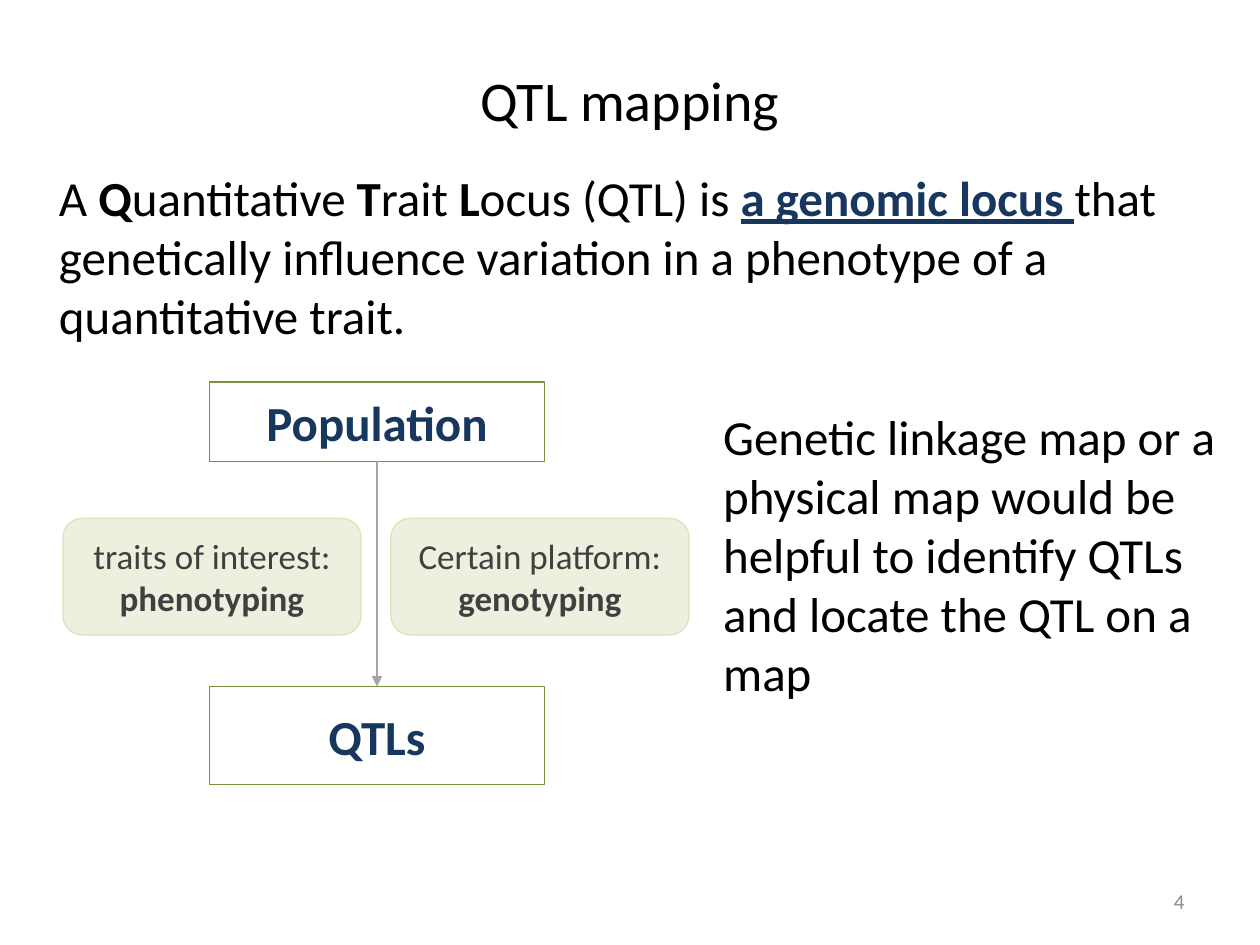
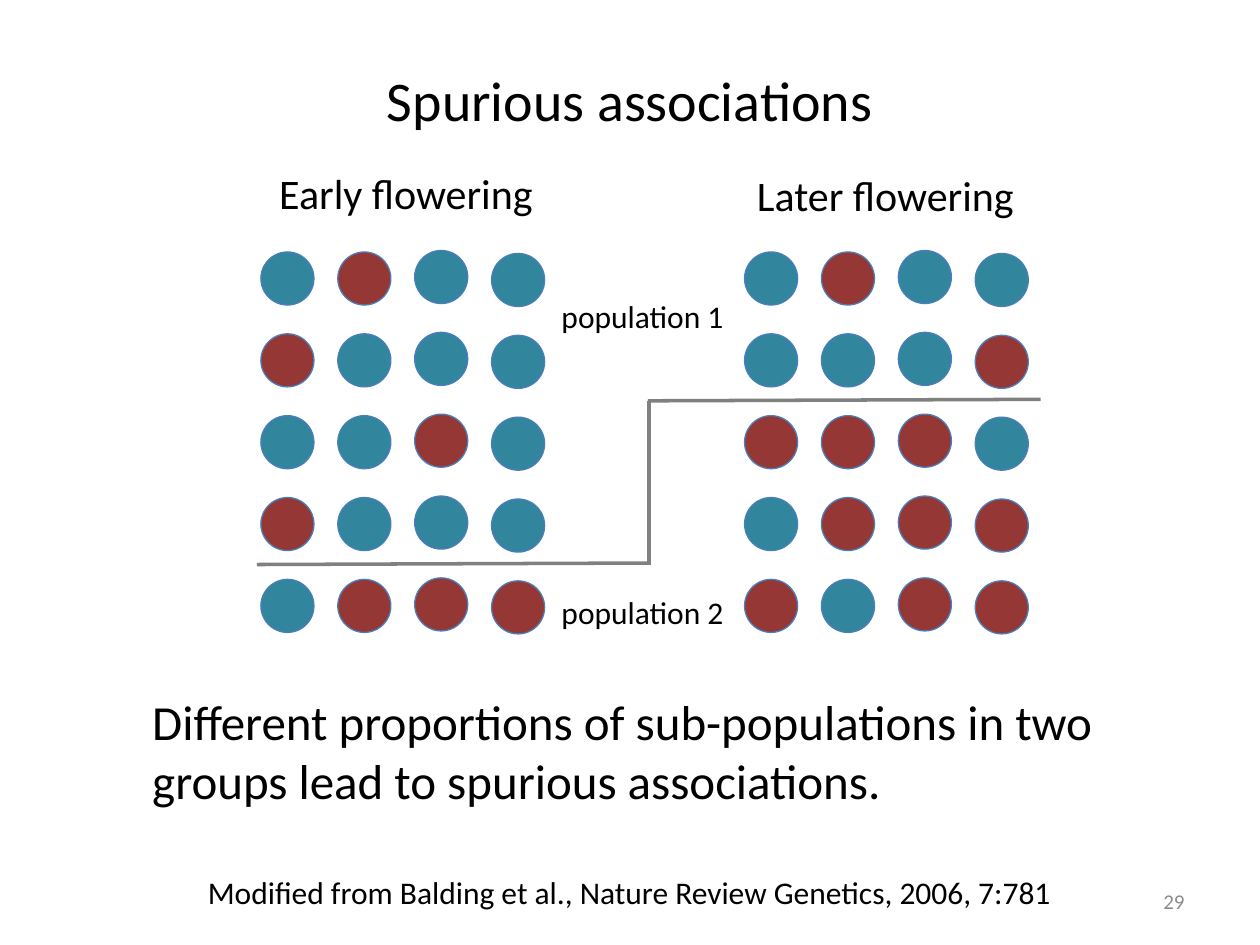
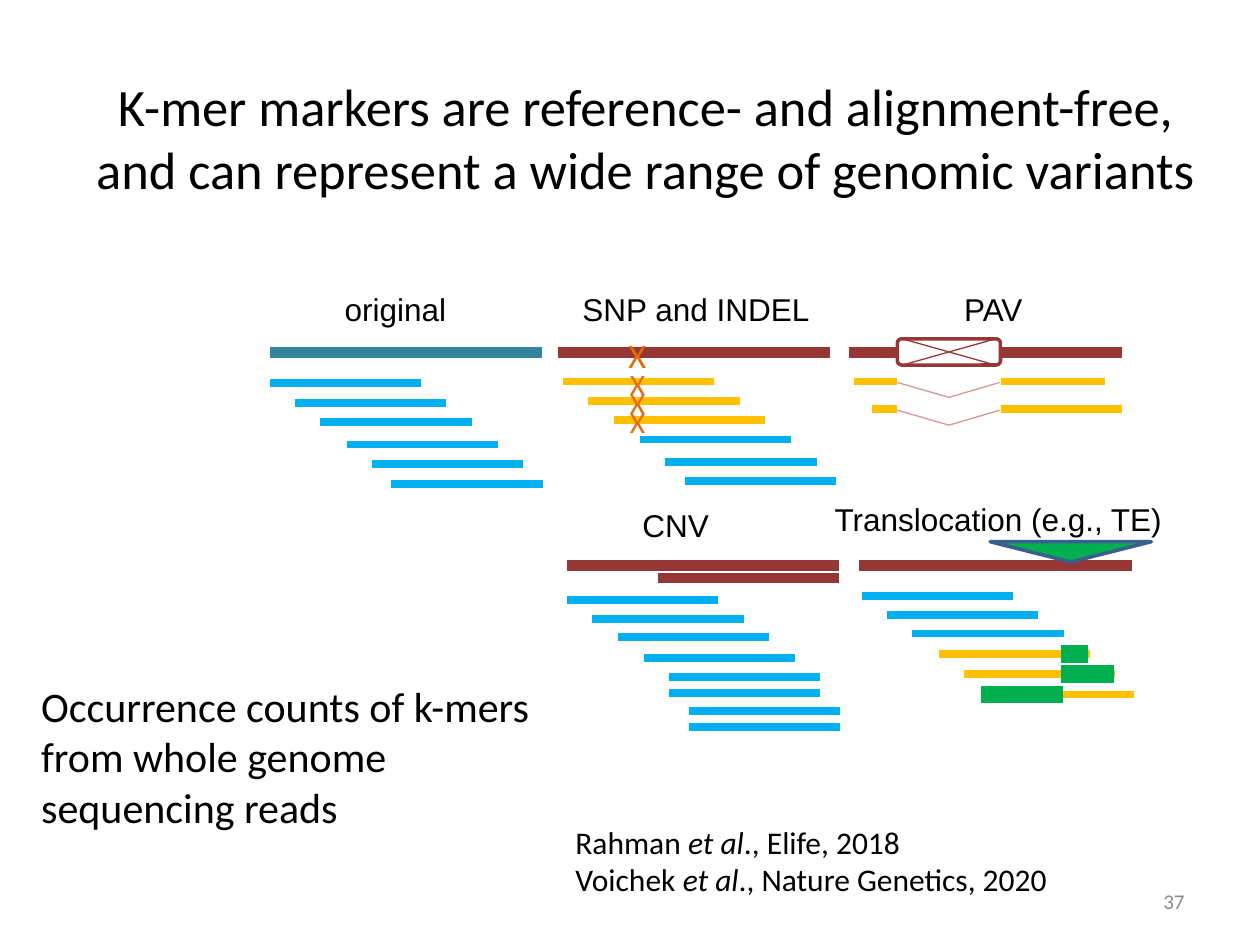
from pptx import Presentation
from pptx.dml.color import RGBColor
from pptx.enum.shapes import MSO_CONNECTOR, MSO_SHAPE
from pptx.enum.text import MSO_ANCHOR, PP_ALIGN
from pptx.oxml.ns import qn
from pptx.util import Cm, Pt
from lxml.etree import SubElement

BLACK, WHITE, NAVY, GREY = "000000", "FFFFFF", "17375E", "8C8C8C"
TEAL, RED, ORANGE, PINK = "31859C", "953735", "E46C0A", "D99694"
BLUE, YELLOW, GREEN = "00B0F0", "FFC000", "00B050"
BOX_LINE, CARD_FILL, CARD_LINE, CARD_TEXT = "77933C", "EBF1DE", "D7E4BD", "404040"
ARROW, DOT_LINE, STEP_LINE, INSERT_LINE = "A6A6A6", "4B7EBC", "808080", "3A5F8C"
BODY_FONT, LABEL_FONT = "Calibri", "Arial"
GENOME_LENGTH, READ_LENGTH = 5.49, 3.05
READ_STARTS = (0, 0.51, 1.02, 1.55, 2.06, 2.45)


def colour(value):
    """Turn a hex string into a colour."""
    return RGBColor.from_string(value)


def format_runs(paragraph, size, font_name, font_colour):
    """Give every run of a paragraph the same basic look."""
    for run in paragraph.runs:
        run.font.size = Pt(size)
        run.font.name = font_name
        run.font.color.rgb = colour(font_colour)


def write(shape, lines, size, font_colour=BLACK, font_name=BODY_FONT, align=PP_ALIGN.LEFT):
    """Fill a shape with lines made of (text, emphasis letters) pieces."""
    frame = shape.text_frame
    for index, pieces in enumerate(lines):
        paragraph = frame.paragraphs[0] if index == 0 else frame.add_paragraph()
        paragraph.alignment = align
        for text, emphasis in pieces:
            run = paragraph.add_run()
            run.text = text
            run.font.bold = "b" in emphasis
            run.font.italic = "i" in emphasis
            run.font.underline = "u" in emphasis
        format_runs(paragraph, size, font_name, font_colour)


def add_text(slide, box, lines, size, wrap=True, **style):
    """Add a text box; a plain string stands for a single line."""
    shape = slide.shapes.add_textbox(*map(Cm, box))
    shape.text_frame.word_wrap = wrap
    write(shape, [[(lines, "")]] if isinstance(lines, str) else lines, size, **style)
    return shape


def add_block(slide, kind, box, fill, line, width=0.75):
    """Add a preset shape with an optional fill."""
    shape = slide.shapes.add_shape(kind, *map(Cm, box))
    shape.shadow.inherit = False
    if fill:
        shape.fill.solid()
        shape.fill.fore_color.rgb = colour(fill)
    else:
        shape.fill.background()
    shape.line.color.rgb = colour(line)
    shape.line.width = Pt(width)
    shape.text_frame.word_wrap = True
    shape.text_frame.vertical_anchor = MSO_ANCHOR.MIDDLE
    return shape


def add_line(slide, start, end, line, width):
    """Add a straight line without shadow."""
    connector = slide.shapes.add_connector(MSO_CONNECTOR.STRAIGHT, *map(Cm, (*start, *end)))
    connector.line.color.rgb = colour(line)
    connector.line.width = Pt(width)
    SubElement(connector._element.spPr, qn("a:effectLst"))
    return connector


def add_bar(slide, left, top, length, line, width):
    """Add a horizontal bar drawn as a thick line."""
    add_line(slide, (left, top), (left + length, top), line, width)


def add_slide(presentation, title, number, box=(1.27, 0.76, 22.86, 2.49), size=32):
    """Add a slide with its title and page number."""
    slide = presentation.slides.add_slide(presentation.slide_layouts[5])
    shape = slide.shapes.title
    shape.left, shape.top, shape.width, shape.height = map(Cm, box)
    shape.text_frame.text = title
    shape.text_frame.vertical_anchor = MSO_ANCHOR.MIDDLE
    paragraph = shape.text_frame.paragraphs[0]
    paragraph.alignment = PP_ALIGN.CENTER
    format_runs(paragraph, size, BODY_FONT, BLACK)
    page = add_text(slide, (18.21, 17.65, 5.92, 1.02), number, 12,
                    font_colour=GREY, align=PP_ALIGN.RIGHT)
    page.text_frame.vertical_anchor = MSO_ANCHOR.MIDDLE
    return slide


def add_mapping_flow(slide, left, top):
    """Draw the way from population to QTLs between two kinds of data."""
    ends = []
    for name, offset, height in (("Population", 0, 1.6), ("QTLs", 6.14, 1.98)):
        shape = add_block(slide, MSO_SHAPE.RECTANGLE,
                          (left + 2.95, top + offset, 6.76, height), None, BOX_LINE)
        write(shape, [[(name, "b")]], 28, NAVY, align=PP_ALIGN.CENTER)
        ends.append(shape)
    arrow = add_line(slide, (left + 6.33, top + 1.6), (left + 6.33, top + 6.14), ARROW, 0.75)
    arrow.begin_connect(ends[0], 2)
    arrow.end_connect(ends[1], 0)
    SubElement(arrow.line._get_or_add_ln(), qn("a:tailEnd"), type="triangle")
    cards = (("traits of interest: ", "phenotyping"), ("Certain platform: ", "genotyping"))
    for index, (source, method) in enumerate(cards):
        card = add_block(slide, MSO_SHAPE.ROUNDED_RECTANGLE,
                         (left + index * 6.61, top + 2.75, 6.01, 2.35), CARD_FILL, CARD_LINE)
        write(card, [[(source, ""), (method, "b")]], 20, CARD_TEXT, align=PP_ALIGN.CENTER)


def add_dot_group(slide, left, top, rows):
    """Draw a grid of individuals, T for teal and R for red."""
    fills = {"T": TEAL, "R": RED}
    for row, letters in enumerate(rows):
        for letter, column, shift in zip(letters, range(4), (0, 0, -0.03, 0.03)):
            box = (left + column * 1.55, top + row * 1.65 + shift, 1.07, 1.07)
            add_block(slide, MSO_SHAPE.OVAL, box, fills[letter], DOT_LINE)


def add_population_border(slide, left, top):
    """Draw the stepped border between the two populations."""
    add_line(slide, (left, top + 3.33), (left + 7.9, top + 3.3), STEP_LINE, 2)
    add_line(slide, (left + 7.88, top + 0.03), (left + 15.8, top), STEP_LINE, 2)
    add_line(slide, (left + 7.9, top + 0.03), (left + 7.9, top + 3.33), STEP_LINE, 2)


def add_genome(slide, left, top, line, label, label_box, align=PP_ALIGN.CENTER):
    """Draw a genome bar and its label, placed by offset and width."""
    add_bar(slide, left, top, GENOME_LENGTH, line, 6)
    offset, rise, width = label_box
    add_text(slide, (left + offset, top - rise, width, 1.02), label, 18,
             font_name=LABEL_FONT, align=align)


def add_reads(slide, left, top, drops, colours, starts=READ_STARTS):
    """Draw reads as a staircase."""
    for start, drop, line in zip(starts, drops, colours):
        add_bar(slide, left + start, top + drop, READ_LENGTH, line, 4.5)


def add_reference_panel(slide, left, top):
    """Draw the unchanged genome and its reads."""
    add_genome(slide, left, top, TEAL, "original", (0.83, 1.39, 3.4))
    add_reads(slide, left, top + 0.61, (0, 0.4, 0.78, 1.24, 1.63, 2.03), [BLUE] * 6)


def add_snp_panel(slide, left, top):
    """Draw small variants marked by crosses."""
    add_genome(slide, left, top, RED, "SNP and INDEL", (0.1, 1.39, 5.36))
    add_reads(slide, left + 0.1, top + 0.58, (0, 0.39, 0.78, 1.17, 1.62, 2.01),
              [YELLOW] * 3 + [BLUE] * 3)
    add_text(slide, (left + 1.17, top - 0.51, 0.61, 1.09), "X", 19.7, font_colour=ORANGE)
    for index in range(3):
        add_text(slide, (left + 1.2, top + 0.15 + index * 0.38, 0.56, 0.99), "X", 16.9,
                 font_colour=ORANGE)


def add_pav_panel(slide, left, top):
    """Draw an absent segment and the reads that span it."""
    add_genome(slide, left, top, RED, "PAV", (1.85, 1.39, 2.11))
    add_block(slide, MSO_SHAPE.ROUNDED_RECTANGLE,
              (left + 0.97, top - 0.28, 2.08, 0.53), WHITE, RED, 2)
    for start, end in ((0.25, -0.28), (-0.28, 0.25)):
        add_line(slide, (left + 1.07, top + start), (left + 2.95, top + end), RED, 0.75)
    for drop, start, end in ((0.58, 0.1, 5.16), (1.14, 0.46, GENOME_LENGTH)):
        y = top + drop
        add_bar(slide, left + start, y, 0.97 - start, YELLOW, 4.5)
        add_bar(slide, left + 3.05, y, end - 3.05, YELLOW, 4.5)
        valley = (left + 2.01, y + 0.32)
        add_line(slide, (left + 0.97, y + 0.02), valley, PINK, 0.75)
        add_line(slide, valley, (left + 3.03, y + 0.02), PINK, 0.75)


def add_cnv_panel(slide, left, top):
    """Draw a duplicated segment and its doubled reads."""
    add_genome(slide, left, top, RED, "CNV", (1.27, 1.32, 2.79), PP_ALIGN.LEFT)
    add_bar(slide, left + 1.83, top + 0.25, GENOME_LENGTH - 1.83, RED, 6)
    starts = READ_STARTS[:4] + READ_STARTS[4:5] * 2 + READ_STARTS[5:] * 2
    add_reads(slide, left, top + 0.69, (0, 0.38, 0.76, 1.17, 1.55, 1.88, 2.24, 2.57),
              [BLUE] * 8, starts)


def add_translocation_panel(slide, left, top):
    """Draw an inserted segment and the reads that cross it."""
    add_genome(slide, left, top, RED, "Translocation (e.g., TE)", (-0.84, 1.44, 7.29))
    insert = add_block(slide, MSO_SHAPE.ISOSCELES_TRIANGLE,
                       (left + 2.64, top - 0.48, 3.25, 0.41), GREEN, INSERT_LINE, 2)
    insert.rotation = 180
    add_reads(slide, left + 0.05, top + 0.61, (0, 0.38, 0.76, 1.17, 1.58, 1.99),
              [BLUE] * 3 + [YELLOW] * 3)
    for start, drop, length in ((4.06, 1.78, 0.56), (4.06, 2.19, 1.07), (2.46, 2.6, 1.65)):
        add_bar(slide, left + start, top + drop, length, GREEN, 10)


def build_mapping_slide(presentation):
    """Explain QTL mapping."""
    slide = add_slide(presentation, "QTL mapping", "4")
    add_mapping_flow(slide, 1.27, 7.7)
    definition = add_text(slide, (0.94, 3.25, 23.83, 3.84), [[
        ("A ", ""), ("Q", "b"), ("uantitative ", ""), ("T", "b"), ("rait ", ""), ("L", "b"),
        ("ocus (QTL) is ", ""), ("a genomic locus ", "bu"),
        ("that genetically influence variation in a phenotype of a quantitative trait.", ""),
    ]], 28)
    for run in definition.text_frame.paragraphs[0].runs:
        if run.font.underline:
            run.font.color.rgb = colour(NAVY)
    add_text(slide, (14.33, 8.08, 10.44, 6.25),
             "Genetic linkage map or a physical map would be helpful to identify QTLs "
             "and locate the QTL on a map", 28)


def build_association_slide(presentation):
    """Show how population structure misleads."""
    slide = add_slide(presentation, "Spurious associations", "29")
    add_text(slide, (5.38, 3.25, 5.69, 1.27), "Early flowering", 24, wrap=False)
    add_text(slide, (15.01, 3.3, 5.77, 1.27), "Later flowering", 24, wrap=False)
    add_text(slide, (2.82, 13.82, 20.04, 2.64),
             "Different proportions of sub-populations in two groups lead to "
             "spurious associations.", 28)
    add_text(slide, (3.94, 17.48, 18.14, 1.02),
             "Modified from Balding et al., Nature Review Genetics, 2006, 7:781", 18, wrap=False)
    add_dot_group(slide, 5.26, 5.08, ("TRTT", "RTTT", "TTRT", "RTTT", "TRRR"))
    add_dot_group(slide, 15.01, 5.08, ("TRTT", "TTTR", "RRRT", "TRRR", "RTRR"))
    add_population_border(slide, 5.18, 8.05)
    for name, top in (("population 1", 5.87), ("population 2", 11.84)):
        add_text(slide, (11.07, top, 3.81, 1.02), name, 18, wrap=False)


def build_kmer_slide(presentation):
    """Show the variants that k-mers can represent."""
    slide = add_slide(presentation,
                      "K-mer markers are reference- and alignment-free, and can represent "
                      "a wide range of genomic variants", "37", (1.63, 0.66, 22.78, 4.19), 30)
    add_reference_panel(slide, 5.44, 7.11)
    add_snp_panel(slide, 11.25, 7.11)
    add_pav_panel(slide, 17.12, 7.11)
    add_cnv_panel(slide, 11.43, 11.4)
    add_translocation_panel(slide, 17.32, 11.4)
    add_text(slide, (11.35, 16.46, 10.11, 1.8), [
        [("Rahman ", ""), ("et al", "i"), ("., Elife, 2018", "")],
        [("Voichek ", ""), ("et al", "i"), ("., Nature Genetics, 2020", "")],
    ], 18)
    add_text(slide, (0.58, 13.59, 10.34, 3.33),
             "Occurrence counts of k-mers from whole genome sequencing reads", 24)


def main():
    """Build and save the presentation."""
    presentation = Presentation()
    presentation.slide_width, presentation.slide_height = Cm(25.4), Cm(19.05)
    build_mapping_slide(presentation)
    build_association_slide(presentation)
    build_kmer_slide(presentation)
    presentation.save("out.pptx")


if __name__ == "__main__":
    main()
